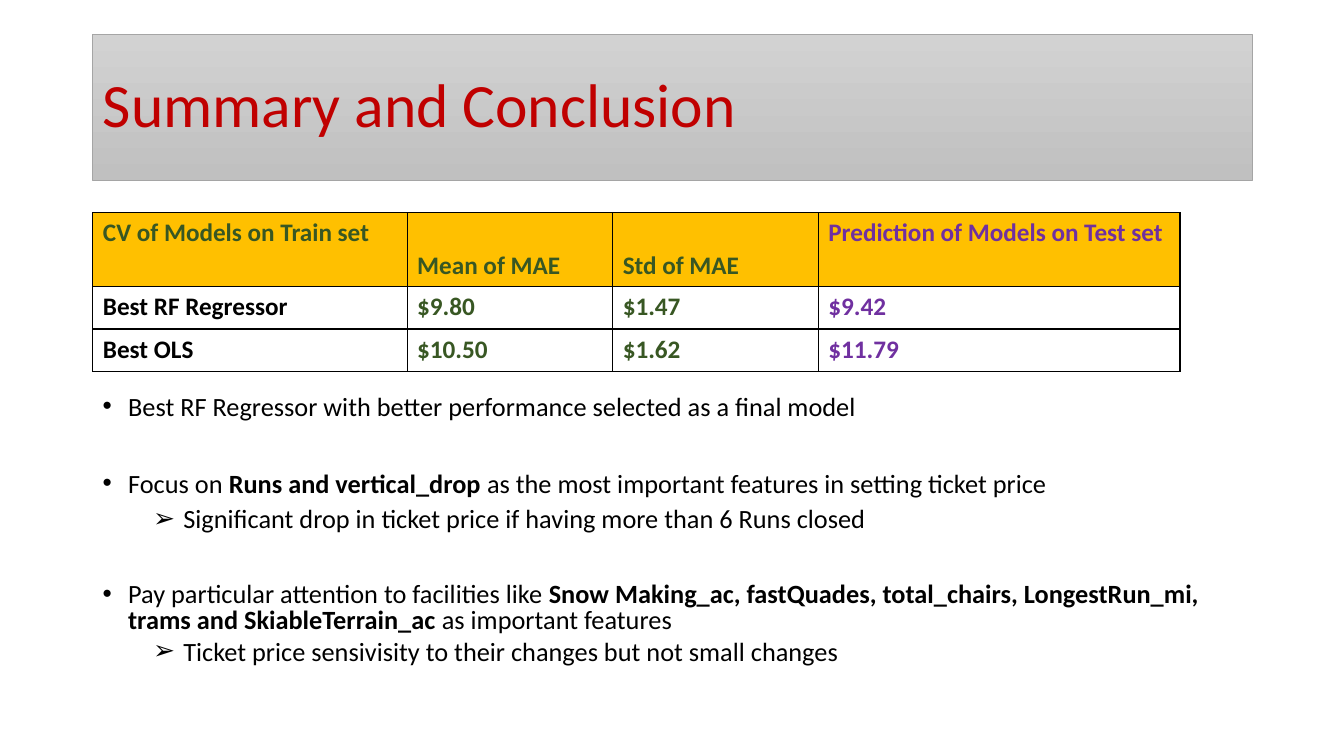
from lxml.etree import SubElement
from pptx import Presentation
from pptx.dml.color import RGBColor
from pptx.enum.text import MSO_ANCHOR, PP_ALIGN
from pptx.enum.shapes import MSO_SHAPE
from pptx.oxml.ns import qn
from pptx.util import Cm, Pt

HUES = {"red": "C00000", "green": "385723", "plum": "7030A0", "black": "000000",
        "gold": "FFC000", "white": "FFFFFF", "edge": "A5A5A5",
        "light": "D2D2D2", "dark": "C0C0C0"}
LEFT, WIDTH = 2.34, 29.21


def hue(name):
    return RGBColor.from_string(HUES[name])


def write(para, text, size=18, color="black", bold=False, font="Calibri"):
    """Add one formatted run to a paragraph."""
    run = para.add_run()
    run.text = text
    run.font.name, run.font.size, run.font.bold = font, Pt(size), bold
    run.font.color.rgb = hue(color)


class Deck:
    def __init__(self):
        self.prs = Presentation()
        self.prs.slide_width, self.prs.slide_height = Cm(33.87), Cm(19.05)
        self.slide = self.prs.slides.add_slide(self.prs.slide_layouts[6])
        self.shapes = self.slide.shapes

    def title(self, text, top, high):
        box = self.shapes.add_shape(MSO_SHAPE.RECTANGLE, Cm(LEFT), Cm(top), Cm(WIDTH), Cm(high))
        box.shadow.inherit = False
        box.fill.gradient()
        box.fill.gradient_angle = 270
        for stop, name in zip(box.fill.gradient_stops, ("light", "dark")):
            stop.color.rgb = hue(name)
        box.line.color.rgb, box.line.width = hue("edge"), Pt(0.5)
        frame = box.text_frame
        frame.word_wrap, frame.vertical_anchor = True, MSO_ANCHOR.MIDDLE
        para = frame.paragraphs[0]
        para.alignment, para.line_spacing = PP_ALIGN.LEFT, 0.9
        write(para, text, size=44, color="red")

    def border(self, cell):
        props = cell._tc.get_or_add_tcPr()
        for spot, side in enumerate(("a:lnL", "a:lnR", "a:lnT", "a:lnB")):
            line = SubElement(props, qn(side), w=str(Pt(1)))
            fill = SubElement(line, qn("a:solidFill"))
            SubElement(fill, qn("a:srgbClr"), val=HUES["black"])
            props.insert(spot, line)

    def table(self, rows, top, wide, high):
        grid = self.shapes.add_table(len(rows), len(wide), Cm(LEFT), Cm(top),
                                     Cm(sum(wide)), Cm(sum(high))).table
        for col, size in zip(grid.columns, wide):
            col.width = Cm(size)
        for row, size in zip(grid.rows, high):
            row.height = Cm(size)
        for r, row in enumerate(rows):
            for c, text in enumerate(row):
                cell = grid.cell(r, c)
                cell.fill.solid()
                cell.fill.fore_color.rgb = hue("white" if r else "gold")
                self.border(cell)
                if r == 0 and c in (1, 2):
                    cell.vertical_anchor = MSO_ANCHOR.BOTTOM
                first = "black" if r else "green"
                color = (first, "green", "green", "plum")[c]
                write(cell.text_frame.paragraphs[0], text, color=color, bold=True)

    def bullet(self, para, mark, margin, indent):
        props = para._p.get_or_add_pPr()
        props.set("marL", str(Cm(margin)))
        props.set("indent", str(Cm(-indent)))
        SubElement(props, qn("a:buFont"), typeface="Arial")
        SubElement(props, qn("a:buChar"), char=mark)

    def points(self, items, top, high):
        frame = self.shapes.add_textbox(Cm(LEFT), Cm(top), Cm(WIDTH), Cm(high)).text_frame
        frame.word_wrap = True
        for num, (level, space, gap, parts) in enumerate(items):
            para = frame.add_paragraph() if num else frame.paragraphs[0]
            para.level, para.line_spacing, para.space_before = level, space, Pt(gap)
            if level:
                self.bullet(para, "➢", 2.03, 0.76)
            else:
                self.bullet(para, "•", 0.64, 0.64)
            # Every second part is bold
            for spot, text in enumerate(parts):
                write(para, text, size=18.8, bold=spot % 2 == 1)


def main():
    deck = Deck()
    # Title band
    deck.title("Summary and Conclusion", 0.87, 3.68)
    # Model scores
    deck.table([
        ("CV of Models on Train set", "Mean of MAE", "Std of MAE",
         "Prediction of Models on Test set"),
        ("Best RF Regressor", "$9.80", "$1.47", "$9.42"),
        ("Best OLS", "$10.50", "$1.62", "$11.79"),
    ], 5.36, (7.92, 5.18, 5.18, 9.12), (1.86, 1.07, 1.07))
    # Findings: level, line spacing, space before, parts
    deck.points([
        (0, 1, 0, ["Best RF Regressor with better performance selected as a final model"]),
        (0, 2, 10, ["Focus on ", "Runs and vertical_drop",
                    " as the most important features in setting ticket price"]),
        (1, 0.9, 5, ["Significant drop in ticket price if having more than 6 Runs closed"]),
        (0, 0.8, 35.5, ["Pay particular attention to facilities like ",
                        "Snow Making_ac, fastQuades, total_chairs, LongestRun_mi, "
                        "trams and SkiableTerrain_ac ", "as important features"]),
        (1, 0.8, 5, ["Ticket price sensivisity to their changes but not small changes"]),
    ], 9.7, 7.4)
    deck.prs.save("out.pptx")


if __name__ == "__main__":
    main()
